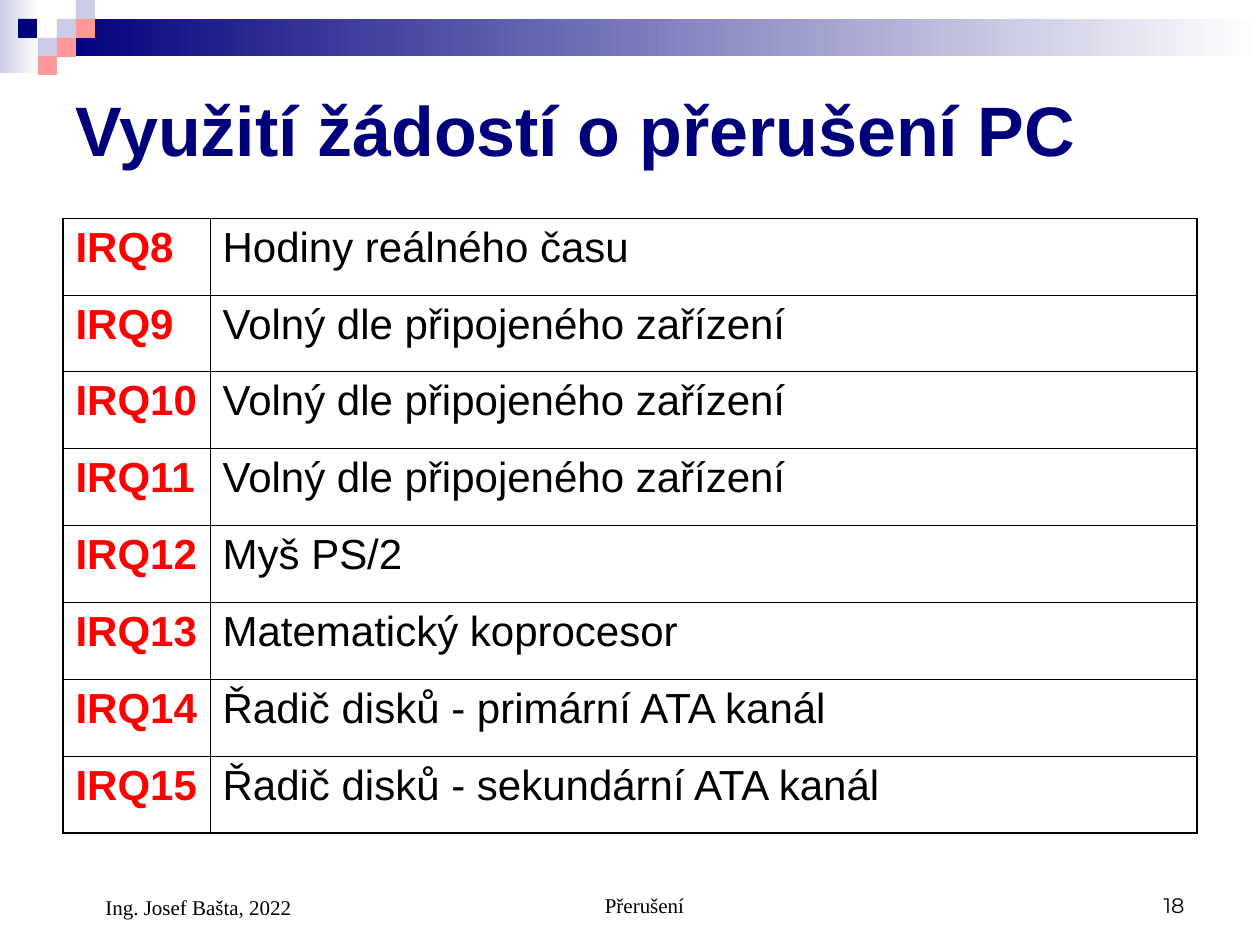
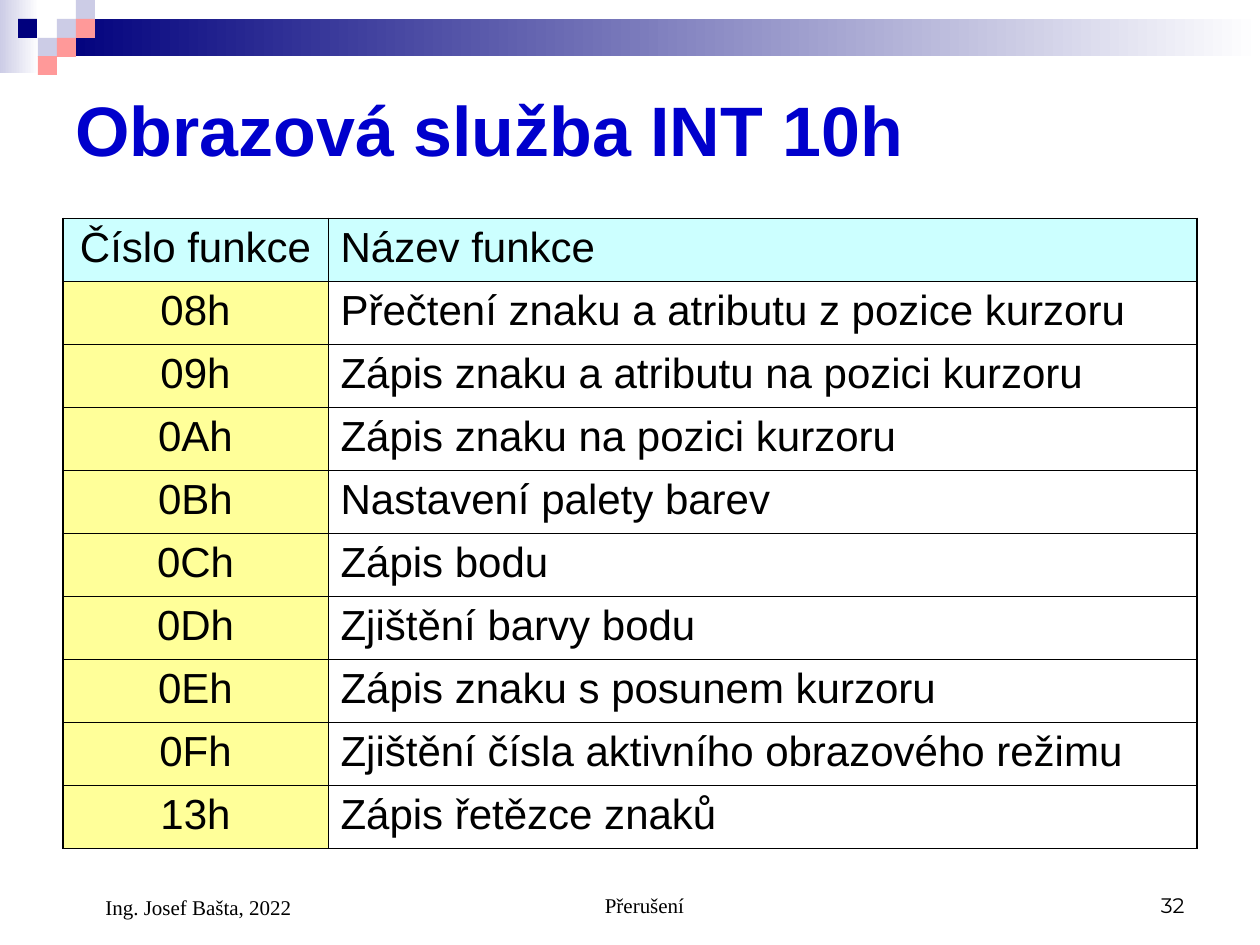
from dataclasses import dataclass
from lxml.etree import SubElement
from pptx import Presentation
from pptx.dml.color import RGBColor as RGB
from pptx.enum.shapes import MSO_SHAPE as SHAPE
from pptx.enum.text import MSO_ANCHOR as ANCHOR, PP_ALIGN as ALIGN
from pptx.oxml.ns import qn
from pptx.util import Pt


@dataclass(frozen=True)
class Theme:
    navy: str = "00007D"
    blue: str = "0000CC"
    lavender: str = "CCCCE6"
    pink: str = "FF9999"
    white: str = "FFFFFF"
    black: str = "000000"
    red: str = "FF0000"
    cyan: str = "CCFFFF"
    yellow: str = "FFFF99"
    sans: str = "Arial"
    serif: str = "Times New Roman"
    digits: str = "Montserrat"
    title_size: int = 40
    table_size: int = 24
    footer_size: int = 12
    outer_line: float = 1.08
    inner_line: float = 0.45


T = Theme()


def px(value):
    return round(value * 914400 / 126)


def write(tf, text, font=T.sans, size=T.table_size, color=T.black, bold=False,
          align=ALIGN.LEFT, anchor=ANCHOR.TOP, indent=0):
    tf.word_wrap = True
    tf.vertical_anchor = anchor
    p = tf.paragraphs[0]
    p.alignment = align
    if indent:
        p._p.get_or_add_pPr().set("marL", str(px(indent)))
    r = p.add_run()
    r.text = text
    r.font.name = font
    r.font.size = Pt(size)
    r.font.bold = bold
    r.font.color.rgb = RGB.from_string(color)


bands = [(0, 0, 39, 73, T.lavender), (57, 19, 1203, 37, T.navy)]
square = 19
squares = [
    (57, 19, T.lavender), (76, 0, T.lavender), (76, 19, T.pink),
    (38, 38, T.lavender), (18, 19, T.navy), (57, 38, T.pink), (38, 56, T.pink),
]
serif_footer = dict(font=T.serif, indent=30)

slides = [
    dict(
        title="Využití žádostí o přerušení PC", title_color=T.navy, number="18",
        widths=(147, 987), height=615, header_fill=None, key_fill=None,
        key_format=dict(color=T.red, bold=True),
        rows=[
            ("IRQ8", "Hodiny reálného času"),
            ("IRQ9", "Volný dle připojeného zařízení"),
            ("IRQ10", "Volný dle připojeného zařízení"),
            ("IRQ11", "Volný dle připojeného zařízení"),
            ("IRQ12", "Myš PS/2"),
            ("IRQ13", "Matematický koprocesor"),
            ("IRQ14", "Řadič disků - primární ATA kanál"),
            ("IRQ15", "Řadič disků - sekundární ATA kanál"),
        ],
    ),
    dict(
        title="Obrazová služba INT 10h", title_color=T.blue, number="32",
        widths=(265, 869), height=627, header_fill=T.cyan, key_fill=T.yellow,
        key_format=dict(align=ALIGN.CENTER),
        rows=[
            ("Číslo funkce", "Název funkce"),
            ("08h", "Přečtení znaku a atributu z pozice kurzoru"),
            ("09h", "Zápis znaku a atributu na pozici kurzoru"),
            ("0Ah", "Zápis znaku na pozici kurzoru"),
            ("0Bh", "Nastavení palety barev"),
            ("0Ch", "Zápis bodu"),
            ("0Dh", "Zjištění barvy bodu"),
            ("0Eh", "Zápis znaku s posunem kurzoru"),
            ("0Fh", "Zjištění čísla aktivního obrazového režimu"),
            ("13h", "Zápis řetězce znaků"),
        ],
    ),
]

prs = Presentation()
prs.slide_width, prs.slide_height = px(1260), px(945)

for content in slides:
    s = prs.slides.add_slide(prs.slide_layouts[6])

    for x, y, w, h, color in bands:
        sp = s.shapes.add_shape(SHAPE.RECTANGLE, px(x), px(y), px(w), px(h))
        sp.shadow.inherit = False
        sp.line.fill.background()
        sp.fill.gradient()
        sp.fill.gradient_angle = 0
        for stop, stop_color in zip(sp.fill.gradient_stops, (color, T.white)):
            stop.color.rgb = RGB.from_string(stop_color)

    for x, y, color in squares:
        sp = s.shapes.add_shape(SHAPE.RECTANGLE, px(x), px(y), px(square), px(square))
        sp.shadow.inherit = False
        sp.line.fill.background()
        sp.fill.solid()
        sp.fill.fore_color.rgb = RGB.from_string(color)

    texts = [
        (63, 63, 1134, 130, content["title"],
         dict(size=T.title_size, color=content["title_color"], bold=True, anchor=ANCHOR.MIDDLE)),
        (430, 861, 399, 63, "Přerušení",
         dict(serif_footer, size=T.footer_size, align=ALIGN.CENTER, anchor=ANCHOR.BOTTOM)),
        (903, 861, 294, 63, content["number"],
         dict(font=T.digits, size=T.footer_size, align=ALIGN.RIGHT, anchor=ANCHOR.BOTTOM)),
        (63, 861, 294, 65, "Ing. Josef Bašta, 2022",
         dict(serif_footer, size=T.footer_size, anchor=ANCHOR.BOTTOM)),
    ]
    for x, y, w, h, text, text_format in texts:
        box = s.shapes.add_textbox(px(x), px(y), px(w), px(h))
        write(box.text_frame, text, **text_format)

    rows = content["rows"]
    table = s.shapes.add_table(len(rows), 2, px(63), px(218), px(1134), px(content["height"])).table
    table.first_row = False
    table.horz_banding = False
    for column, width in zip(table.columns, content["widths"]):
        column.width = px(width)

    for i, row in enumerate(rows):
        for j, text in enumerate(row):
            cell = table.cell(i, j)
            write(cell.text_frame, text, **(content["key_format"] if j == 0 else {}))

            tc_pr = cell._tc.get_or_add_tcPr()
            outer_edges = dict(lnL=j == 0, lnR=j == 1, lnT=False, lnB=i == len(rows) - 1)
            for edge, is_outer in outer_edges.items():
                width = T.outer_line if is_outer else T.inner_line
                ln = SubElement(tc_pr, qn("a:" + edge), w=str(Pt(width)))
                solid = SubElement(ln, qn("a:solidFill"))
                SubElement(solid, qn("a:srgbClr"), val=T.black)

            fill = content["header_fill"] if i == 0 else content["key_fill"] if j == 0 else None
            if fill:
                cell.fill.solid()
                cell.fill.fore_color.rgb = RGB.from_string(fill)
            else:
                cell.fill.background()

prs.save("out.pptx")
